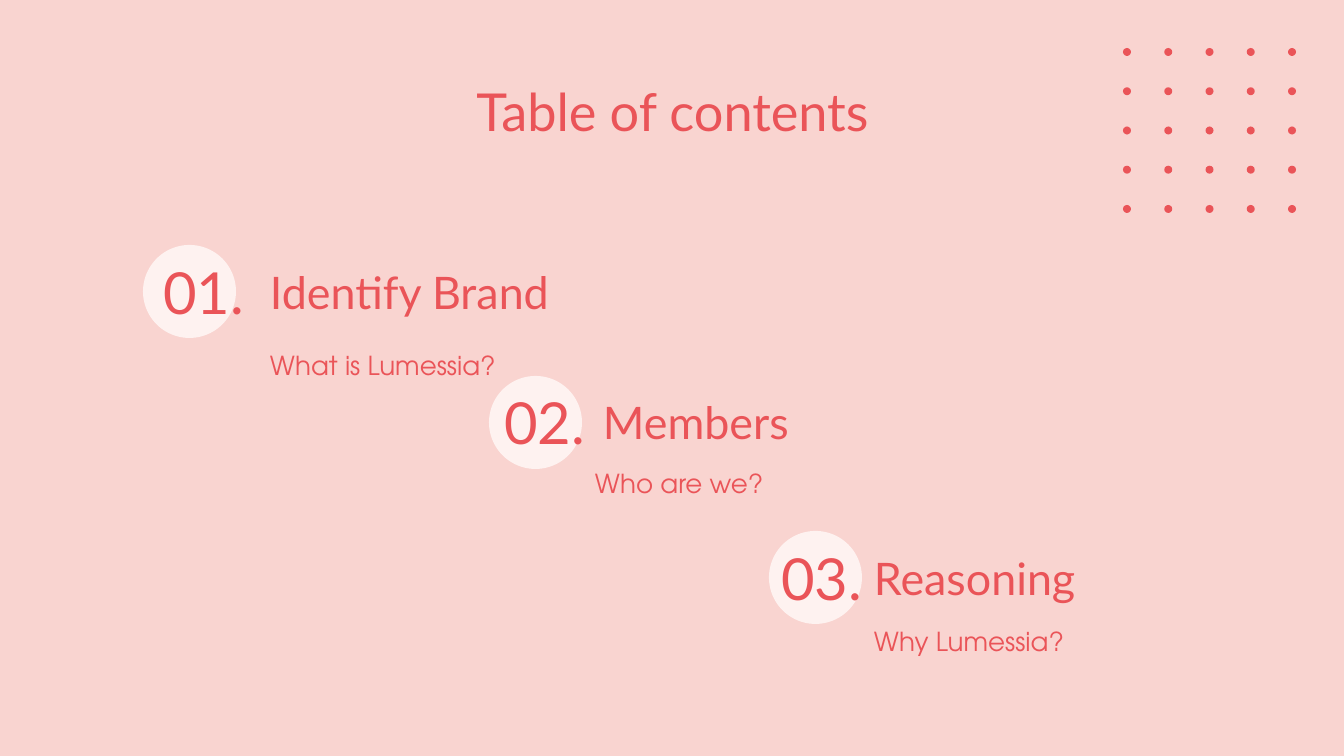
import pptx
import pptx.util
import pptx.dml.color
import pptx.enum.shapes
import pptx.enum.text

ANCHOR = pptx.enum.text.MSO_ANCHOR
ALIGN = pptx.enum.text.PP_ALIGN
OVAL = pptx.enum.shapes.MSO_SHAPE.OVAL

HEADLINE = "Table of contents"
SECTIONS = [
    {"number": "01.", "heading": "Identify Brand", "question": "What is Lumessia?",
     "circle": (143, 245), "number_at": (117, 254),
     "heading_at": (257, 254), "question_at": (257, 331)},
    {"number": "02.", "heading": "Members", "question": "Who are we?",
     "circle": (489, 376), "number_at": (458, 384),
     "heading_at": (590, 384), "question_at": (582, 449)},
    {"number": "03.", "heading": "Reasoning", "question": "Why Lumessia?",
     "circle": (769, 531), "number_at": (735, 540),
     "heading_at": (861, 540), "question_at": (861, 607)},
]
PARTS = {
    "heading": {"size": (401, 75), "style": "heading"},
    "number": {"size": (140, 75), "style": "number"},
    "question": {"size": (401, 69), "style": "question"},
}
SLIDE = (1344, 756)
HEADLINE_BOX = (106, 66, 1133, 84)
CIRCLE = 93
DOTS = {"left": 1123, "top": 48, "width": 165, "height": 157, "count": 5, "size": 8}
INSET = 13

THEME = {
    "background": "F9D4D0",
    "accent": "EA5458",
    "circle": "FEF2F0",
    "headline": {"font": "Lato", "size": 28, "align": ALIGN.CENTER, "anchor": ANCHOR.TOP},
    "heading": {"font": "Lato", "size": 24, "align": ALIGN.LEFT, "anchor": ANCHOR.MIDDLE},
    "number": {"font": "Lato", "size": 31, "align": ALIGN.RIGHT, "anchor": ANCHOR.MIDDLE},
    "question": {"font": "TeX Gyre Adventor", "size": 14, "align": ALIGN.LEFT,
                 "anchor": ANCHOR.MIDDLE},
}


def px(length):
    return pptx.util.Emu(round(length * 914400 / 134.4))


def color(name):
    return pptx.dml.color.RGBColor.from_string(THEME[name])


def set_all(target, values):
    for name, value in values.items():
        setattr(target, name, value)


def add_disc(slide, left, top, size, fill):
    disc = slide.shapes.add_shape(OVAL, px(left), px(top), px(size), px(size))
    disc.shadow.inherit = False
    disc.fill.solid()
    disc.fill.fore_color.rgb = color(fill)
    disc.line.fill.background()


def write(holder, words, style):
    look = THEME[style]
    frame = holder.text_frame
    frame.text = words
    set_all(frame, {
        "word_wrap": True,
        "auto_size": pptx.enum.text.MSO_AUTO_SIZE.NONE,
        "vertical_anchor": look["anchor"],
        "margin_left": px(INSET), "margin_right": px(INSET),
        "margin_top": px(INSET), "margin_bottom": px(INSET),
    })
    line = frame.paragraphs[0]
    line.alignment = look["align"]
    font = line.runs[0].font
    set_all(font, {"name": look["font"], "size": pptx.util.Pt(look["size"])})
    font.color.rgb = color("accent")


def main():
    deck = pptx.Presentation()
    deck.slide_width, deck.slide_height = map(px, SLIDE)
    slide = deck.slides.add_slide(deck.slide_layouts.get_by_name("Title Only"))
    slide.background.fill.solid()
    slide.background.fill.fore_color.rgb = color("background")

    headline = slide.shapes.title
    set_all(headline, dict(zip(("left", "top", "width", "height"), map(px, HEADLINE_BOX))))
    write(headline, HEADLINE, "headline")

    gaps = DOTS["count"] - 1
    for column in range(DOTS["count"]):
        for row in range(DOTS["count"]):
            add_disc(slide, DOTS["left"] + column * DOTS["width"] / gaps,
                     DOTS["top"] + row * DOTS["height"] / gaps, DOTS["size"], "accent")

    for section in SECTIONS:
        add_disc(slide, *section["circle"], CIRCLE, "circle")
    for section in SECTIONS:
        for part, form in PARTS.items():
            place = section[part + "_at"] + form["size"]
            label = slide.shapes.add_textbox(*map(px, place))
            write(label, section[part], form["style"])

    deck.save("out.pptx")


if __name__ == "__main__":
    main()
